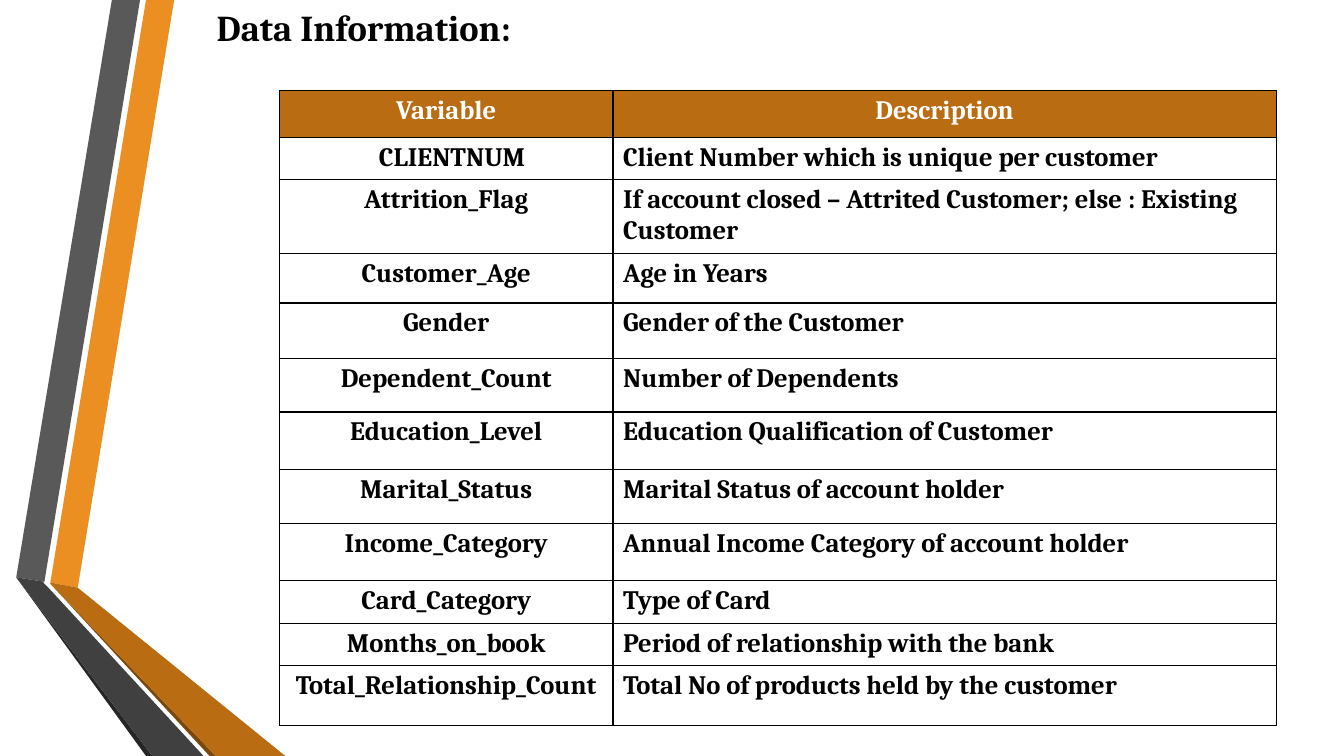
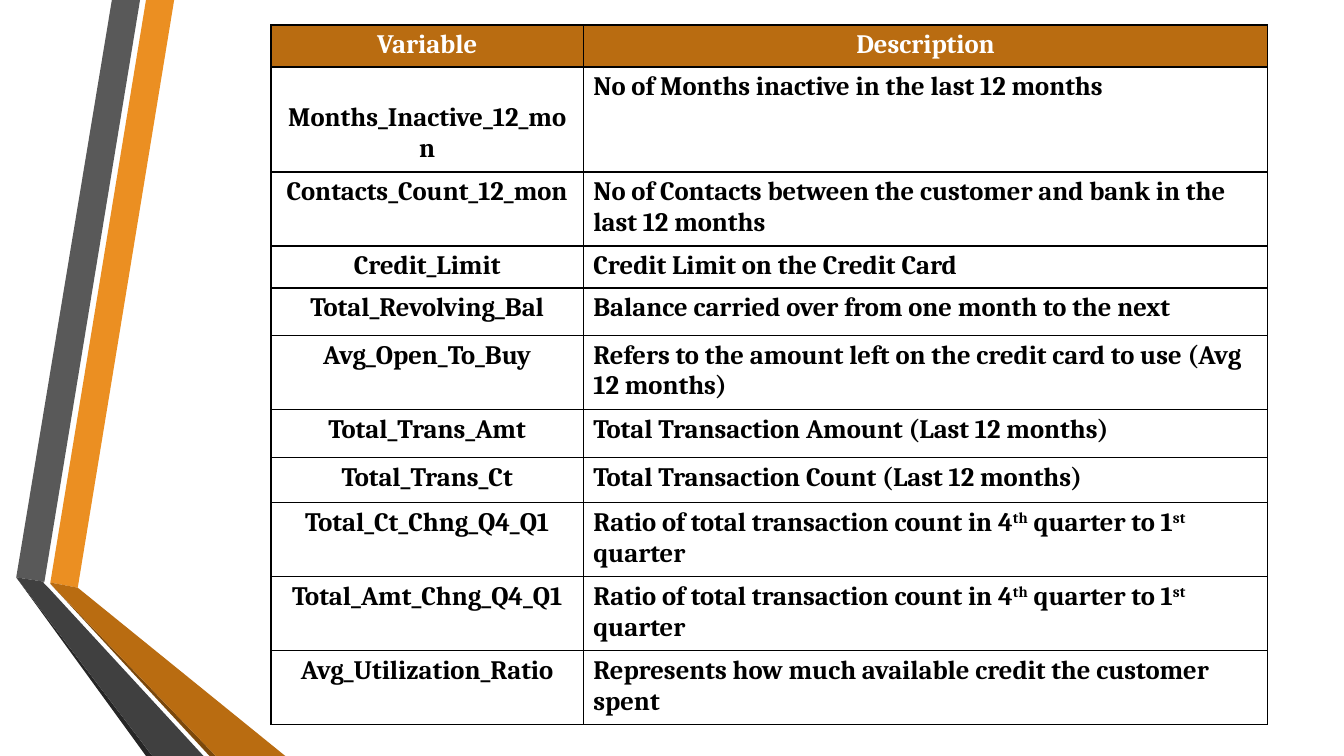
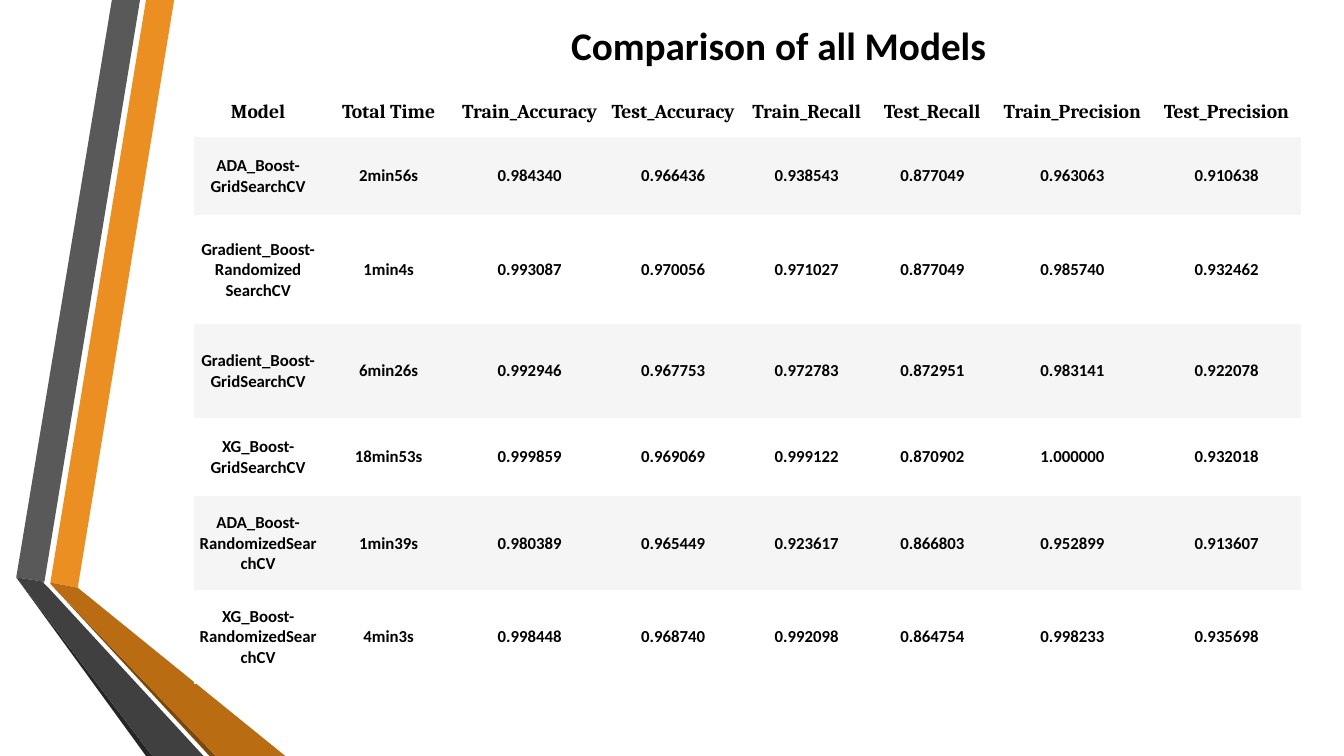
from lxml.etree import SubElement
from pptx import Presentation
from pptx.dml.color import RGBColor
from pptx.enum.text import MSO_ANCHOR, PP_ALIGN
from pptx.oxml.ns import qn
from pptx.util import Cm, Pt

# Shared look
BLACK, WHITE, STRIPE = "000000", "FFFFFF", "F5F5F5"
BROWN = "B96C11"
SERIF, SANS = "Cambria", "Calibri"
PLAIN_TABLE_STYLE = "{2D5ABB26-0587-4C30-8999-92F81FD0307C}"

# Folded ribbons down the left side: colour and outline in cm
RIBBONS = [
    ("EB8F22", [(1.27, 14.68), (1.96, 14.81), (4.39, 0), (3.68, 0)]),
    ("595959", [(3.53, 0), (2.82, 0), (0.41, 14.55), (1.12, 14.66)]),
    ("262626", [(0.41, 14.55), (3.68, 19.05), (3.84, 19.05)]),
    ("7B480B", [(1.27, 14.71), (5.28, 19.05), (5.44, 19.05)]),
    (BROWN, [(1.27, 14.71), (5.44, 19.05), (7.19, 19.05), (1.96, 14.81),
             (1.27, 14.68)]),
    ("404040", [(5.13, 19.05), (1.22, 14.81), (1.09, 14.68), (1.12, 14.66),
                (0.41, 14.55), (3.84, 19.05)]),
]

CLIENT_VARIABLES = [
    ("Variable", "Description"),
    ("CLIENTNUM", "Client Number which is unique per customer"),
    ("Attrition_Flag",
     "If account closed – Attrited Customer; else : Existing Customer"),
    ("Customer_Age", "Age in Years"),
    ("Gender", "Gender of the Customer"),
    ("Dependent_Count", "Number of Dependents"),
    ("Education_Level", "Education Qualification of Customer"),
    ("Marital_Status", "Marital Status of account holder"),
    ("Income_Category", "Annual Income Category of account holder"),
    ("Card_Category", "Type of Card"),
    ("Months_on_book", "Period of relationship with the bank"),
    ("Total_Relationship_Count", "Total No of products held by the customer"),
]

# Text between carets is superscript
QUARTER_RATIO = "Ratio of total transaction count in 4^th^ quarter to 1^st^ quarter"
ACTIVITY_VARIABLES = [
    ("Variable", "Description"),
    ("Months_Inactive_12_mon", "No of Months inactive in the last 12 months"),
    ("Contacts_Count_12_mon",
     "No of Contacts between the customer and bank in the last 12 months"),
    ("Credit_Limit", "Credit Limit on the Credit Card"),
    ("Total_Revolving_Bal", "Balance carried over from one month to the next"),
    ("Avg_Open_To_Buy",
     "Refers to the amount left on the credit card to use (Avg 12 months)"),
    ("Total_Trans_Amt", "Total Transaction Amount (Last 12 months)"),
    ("Total_Trans_Ct", "Total Transaction Count (Last 12 months)"),
    ("Total_Ct_Chng_Q4_Q1", QUARTER_RATIO),
    ("Total_Amt_Chng_Q4_Q1", QUARTER_RATIO),
    ("Avg_Utilization_Ratio",
     "Represents how much available credit the customer spent"),
]

MODEL_SCORES = [
    ("Model", "Total Time", "Train_Accuracy", "Test_Accuracy", "Train_Recall",
     "Test_Recall", "Train_Precision", "Test_Precision"),
    ("ADA_Boost-GridSearchCV", "2min56s", "0.984340", "0.966436",
     "0.938543", "0.877049", "0.963063", "0.910638"),
    ("Gradient_Boost-Randomized\nSearchCV", "1min4s", "0.993087", "0.970056",
     "0.971027", "0.877049", "0.985740", "0.932462"),
    ("Gradient_Boost-GridSearchCV", "6min26s", "0.992946", "0.967753",
     "0.972783", "0.872951", "0.983141", "0.922078"),
    ("XG_Boost-GridSearchCV", "18min53s", "0.999859", "0.969069",
     "0.999122", "0.870902", "1.000000", "0.932018"),
    ("ADA_Boost-RandomizedSearchCV", "1min39s", "0.980389", "0.965449",
     "0.923617", "0.866803", "0.952899", "0.913607"),
    ("XG_Boost-RandomizedSearchCV", "4min3s", "0.998448", "0.968740",
     "0.992098", "0.864754", "0.998233", "0.935698"),
]


def paint(target, color):
    """Fill a shape or a cell."""
    target.fill.solid()
    target.fill.fore_color.rgb = RGBColor.from_string(color)


def write(frame, text, size=19, font=SERIF, color=BLACK, align=PP_ALIGN.LEFT):
    """Write bold text, one paragraph per line."""
    for index, line in enumerate(text.split("\n")):
        paragraph = frame.add_paragraph() if index else frame.paragraphs[0]
        paragraph.alignment = align
        for position, piece in enumerate(line.split("^")):
            run = paragraph.add_run()
            run.text = piece
            run.font.size = Pt(size)
            run.font.name = font
            run.font.bold = True
            run.font.color.rgb = RGBColor.from_string(color)
            if position % 2:
                run.font._element.set("baseline", "30000")


def add_title(slide, text, left, top, width, height, **text_format):
    box = slide.shapes.add_textbox(Cm(left), Cm(top), Cm(width), Cm(height))
    box.text_frame.word_wrap = True
    write(box.text_frame, text, **text_format)


def add_plain_table(slide, left, top, widths, heights):
    """Add an unstyled table with the given column widths and row heights."""
    frame = slide.shapes.add_table(
        len(heights), len(widths), Cm(left), Cm(top),
        Cm(sum(widths)), Cm(sum(heights)))
    for style in frame.element.iter(qn("a:tableStyleId")):
        style.text = PLAIN_TABLE_STYLE
    table = frame.table
    table.horz_banding = False
    for column, width in zip(table.columns, widths):
        column.width = Cm(width)
    for row, height in zip(table.rows, heights):
        row.height = Cm(height)
    return frame


def add_grid_lines(frame):
    for cell in frame.element.iter(qn("a:tc")):
        properties = cell.get_or_add_tcPr()
        for index, side in enumerate(("lnL", "lnR", "lnT", "lnB")):
            line = SubElement(properties, qn(f"a:{side}"), w=str(Pt(1)))
            fill = SubElement(line, qn("a:solidFill"))
            SubElement(fill, qn("a:srgbClr"), val=BLACK)
            properties.insert(index, line)


def add_variable_table(slide, entries, left, top, widths, heights):
    """Add a bordered table of variables and their descriptions."""
    frame = add_plain_table(slide, left, top, widths, heights)
    for row, entry in enumerate(entries):
        for column, text in enumerate(entry):
            cell = frame.table.cell(row, column)
            if row == 0:
                paint(cell, BROWN)
            else:
                cell.fill.background()
            centred = row == 0 or column == 0
            write(cell.text_frame, text, color=BLACK if row else WHITE,
                  align=PP_ALIGN.CENTER if centred else PP_ALIGN.LEFT)
    add_grid_lines(frame)
    return frame.table


def add_score_table(slide, scores, left, top, widths, heights):
    """Add a striped table of model scores."""
    table = add_plain_table(slide, left, top, widths, heights).table
    for row, values in enumerate(scores):
        for column, text in enumerate(values):
            cell = table.cell(row, column)
            paint(cell, STRIPE if row % 2 else WHITE)
            cell.vertical_anchor = MSO_ANCHOR.MIDDLE
            cell.margin_left = cell.margin_right = Cm(0.13)
            cell.margin_top = cell.margin_bottom = Cm(0.05)
            write(cell.text_frame, text, size=12 if row else 14,
                  font=SANS if row else SERIF, align=PP_ALIGN.CENTER)


def add_ribbons(slide, layout):
    """Draw the ribbons, then move them to the layout all slides share."""
    for color, outline in RIBBONS:
        points = [(Cm(x), Cm(y)) for x, y in outline]
        builder = slide.shapes.build_freeform(*points[0])
        builder.add_line_segments(points[1:], close=True)
        ribbon = builder.convert_to_shape()
        paint(ribbon, color)
        ribbon.line.fill.background()
        ribbon.shadow.inherit = False
        layout.shapes.element.append(ribbon.element)


def main():
    deck = Presentation()
    deck.slide_width, deck.slide_height = Cm(33.87), Cm(19.05)
    blank = deck.slide_layouts[6]
    client_slide, activity_slide, model_slide = (
        deck.slides.add_slide(blank) for _ in range(3))
    add_ribbons(client_slide, blank)

    # Client variables
    add_title(client_slide, "Data Information:", 5.21, 0, 25.91, 2.49, size=26)
    client_table = add_variable_table(
        client_slide, CLIENT_VARIABLES, 7.04, 2.29, [8.41, 16.71],
        [1.17, 1.07, 1.19, 1.24, 1.4, 1.35, 1.45, 1.35, 1.45, 1.07, 1.07, 1.5])
    client_table.cell(1, 0).margin_left = Cm(0.55)

    # Activity variables
    activity_table = add_variable_table(
        activity_slide, ACTIVITY_VARIABLES, 6.83, 0.63, [7.87, 17.25],
        [0.99, 0.91, 1.02, 1.04, 1.19, 1.12, 1.22, 1.14, 1.22, 0.91, 0.91])
    activity_table.cell(1, 0).margin_top = Cm(0.91)

    # Model comparison
    add_title(model_slide, "Comparison of all Models", 4.42, 0.41, 30.4, 1.45,
              size=28, font=SANS, align=PP_ALIGN.CENTER)
    add_score_table(
        model_slide, MODEL_SCORES, 4.88, 2.21,
        [3.25, 3.33, 3.78, 3.45, 3.28, 3.05, 4.01, 3.76],
        [1.24, 1.98, 2.74, 2.36, 1.98, 2.36, 2.36])

    deck.save("out.pptx")


if __name__ == "__main__":
    main()
